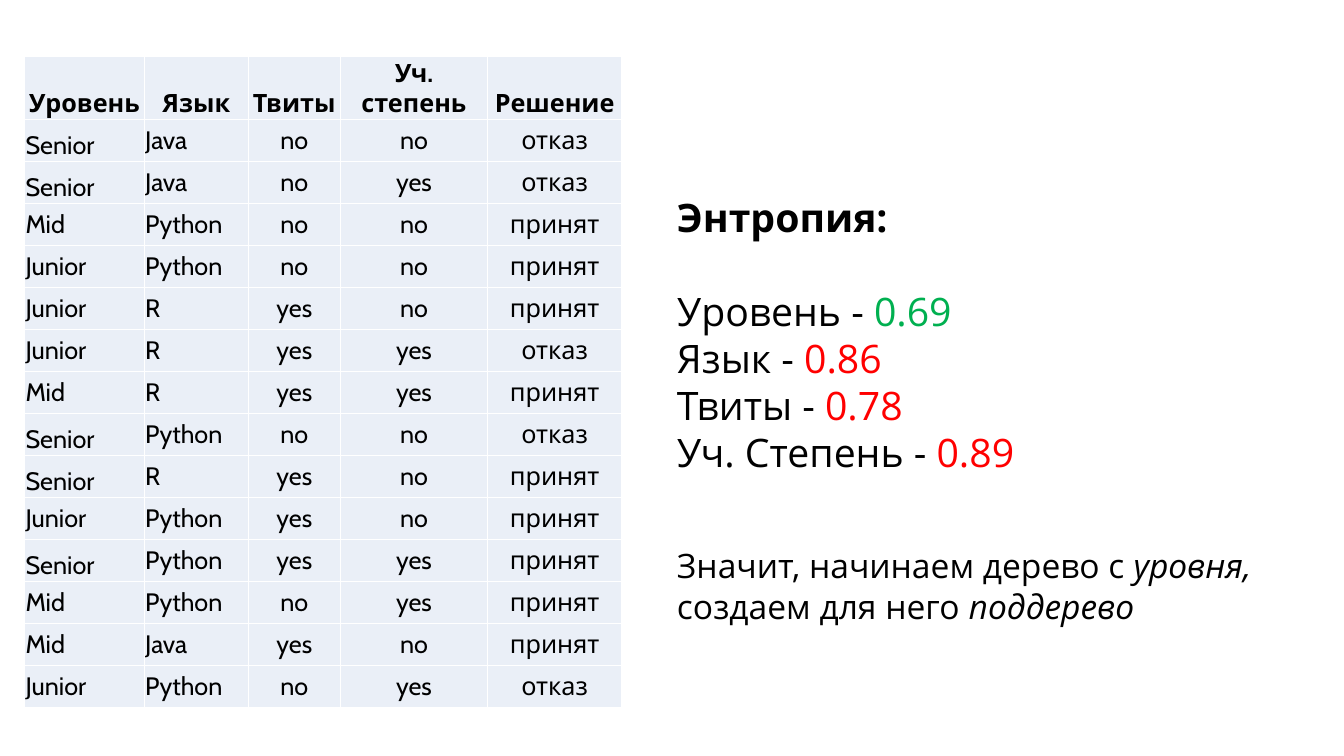
from dataclasses import dataclass

from lxml.etree import SubElement
from pptx import Presentation
from pptx.dml.color import RGBColor
from pptx.enum.text import MSO_ANCHOR, PP_ALIGN
from pptx.oxml.ns import qn
from pptx.slide import Slide
from pptx.util import Pt

HEADERS = ["Уровень", "Язык", "Твиты", "Уч. степень", "Решение"]
CANDIDATES = """Senior Java no no отказ
Senior Java no yes отказ
Mid Python no no принят
Junior Python no no принят
Junior R yes no принят
Junior R yes yes отказ
Mid R yes yes принят
Senior Python no no отказ
Senior R yes no принят
Junior Python yes no принят
Senior Python yes yes принят
Mid Python no yes принят
Mid Java yes no принят
Junior Python no yes отказ"""
COLUMN_WIDTHS = [85.5, 74.5, 65.5, 105.5, 95.5]
HEADER_HEIGHT = 44.5
ROW_HEIGHT = 30
ENTROPIES = [
    ("Уровень", "0.69", "00B050"),
    ("Язык", "0.86", "FF0000"),
    ("Твиты", "0.78", "FF0000"),
    ("Уч. Степень", "0.89", "FF0000"),
]


def color(value):
    return RGBColor.from_string(value)


def add_text(paragraph, text, font, size, fill="000000", bold=False, italic=False):
    run = paragraph.add_run()
    run.text = text
    run.font.name = font
    run.font.size = Pt(size)
    run.font.bold = bold
    run.font.italic = italic
    run.font.color.rgb = color(fill)


@dataclass
class SlideBuilder:
    slide: Slide
    table_font: str = "Cabin"
    text_font: str = "Open Sans"
    cell_fill: str = "EAEFF7"
    border_color: str = "FFFFFF"
    line_spacing: float = 1.2

    def table(self, left, top, rows, widths, heights):
        frame = self.slide.shapes.add_table(
            len(rows), len(widths), Pt(left), Pt(top), Pt(sum(widths)), Pt(sum(heights))
        )
        table = frame.table
        table.first_row = False
        table.horz_banding = False
        for column, width in zip(table.columns, widths):
            column.width = Pt(width)
        for row, height in zip(table.rows, heights):
            row.height = Pt(height)
        for row_index, row in enumerate(rows):
            for column_index, text in enumerate(row):
                header = row_index == 0
                bottom = header or text == "Senior"
                self.cell(
                    table.cell(row_index, column_index),
                    text,
                    bold=header,
                    anchor=MSO_ANCHOR.BOTTOM if bottom else MSO_ANCHOR.MIDDLE,
                    align=PP_ALIGN.CENTER if header or column_index > 1 else PP_ALIGN.LEFT,
                )

    def cell(self, cell, text, bold, anchor, align):
        cell.margin_left = cell.margin_right = cell.margin_top = Pt(0.75)
        cell.margin_bottom = Pt(0)
        cell.vertical_anchor = anchor
        self.borders(cell)
        cell.fill.solid()
        cell.fill.fore_color.rgb = color(self.cell_fill)
        paragraph = cell.text_frame.paragraphs[0]
        paragraph.alignment = align
        add_text(paragraph, text, font=self.table_font, size=18, bold=bold)

    def borders(self, cell):
        properties = cell._tc.get_or_add_tcPr()
        for side in ("lnL", "lnR", "lnT", "lnB"):
            line = SubElement(properties, qn(f"a:{side}"), w=str(Pt(1)))
            fill = SubElement(line, qn("a:solidFill"))
            SubElement(fill, qn("a:srgbClr"), val=self.border_color)

    def text_box(self, left, top, width, height, paragraphs, size, gap_after_first=0):
        shape = self.slide.shapes.add_textbox(Pt(left), Pt(top), Pt(width), Pt(height))
        frame = shape.text_frame
        frame.word_wrap = True
        frame.margin_top = Pt(5.5)
        for index, runs in enumerate(paragraphs):
            paragraph = frame.add_paragraph() if index else frame.paragraphs[0]
            paragraph.line_spacing = Pt(size * self.line_spacing)
            paragraph.space_after = Pt(0 if index else gap_after_first)
            for text, style in runs:
                add_text(paragraph, text, font=self.text_font, size=size, **style)


presentation = Presentation()
presentation.slide_width = Pt(960)
presentation.slide_height = Pt(540)
builder = SlideBuilder(presentation.slides.add_slide(presentation.slide_layouts[6]))

candidate_rows = [line.split() for line in CANDIDATES.splitlines()]
builder.table(
    17.5,
    40.5,
    [HEADERS] + candidate_rows,
    COLUMN_WIDTHS,
    [HEADER_HEIGHT] + [ROW_HEIGHT] * len(candidate_rows),
)

entropy_lines = [
    [(f"{name} - ", {}), (value, {"fill": fill})] for name, value, fill in ENTROPIES
]
builder.text_box(
    476.5, 132.5, 402, 211,
    [[("Энтропия:", {"bold": True})]] + entropy_lines,
    size=28,
    gap_after_first=33.6,
)
builder.text_box(
    476.5, 384, 454, 65.5,
    [
        [("Значит, начинаем дерево с ", {}), ("уровня,", {"italic": True})],
        [("создаем для него ", {}), ("поддерево", {"italic": True})],
    ],
    size=24,
)

presentation.save("out.pptx")
